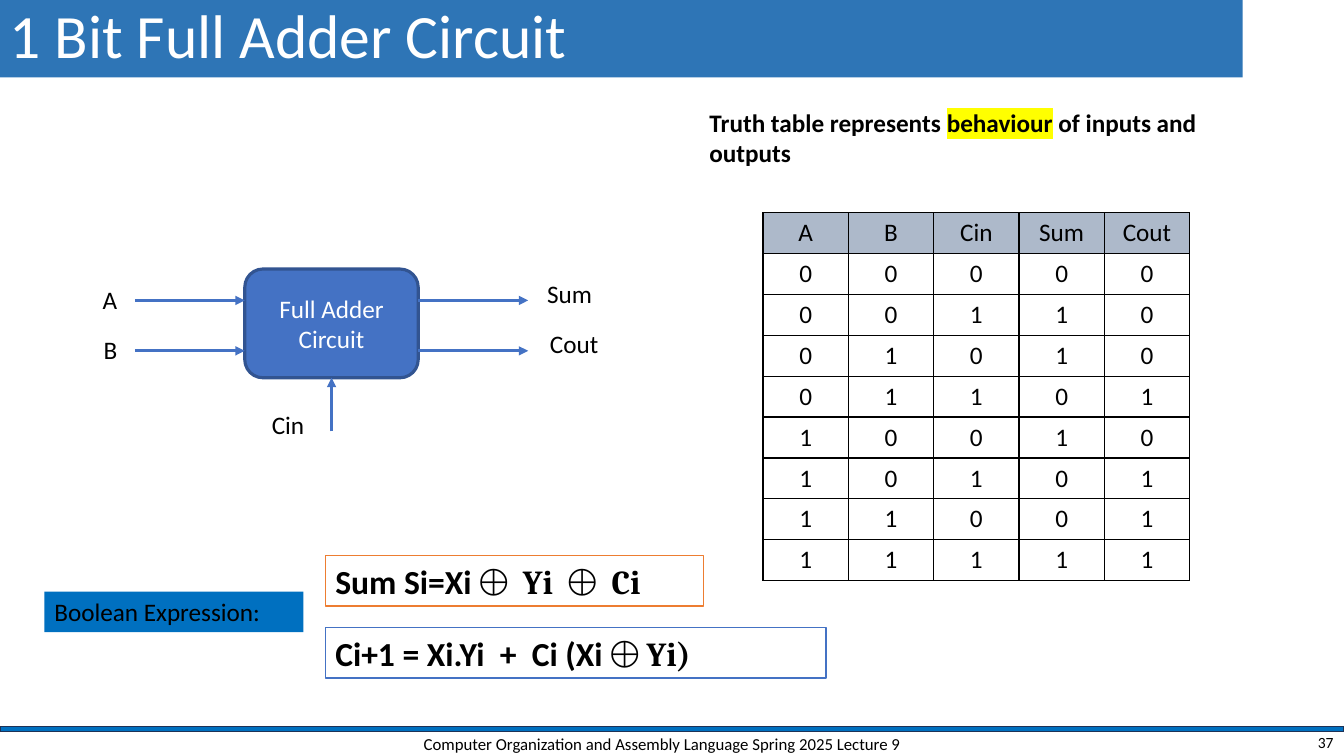
from dataclasses import dataclass
from itertools import product

from lxml import etree
from pptx import Presentation
from pptx.dml.color import RGBColor
from pptx.enum.shapes import MSO_CONNECTOR, MSO_SHAPE
from pptx.enum.text import MSO_ANCHOR, PP_ALIGN
from pptx.oxml.ns import qn
from pptx.util import Cm, Pt

RECTANGLE = MSO_SHAPE.RECTANGLE
ROUNDED = MSO_SHAPE.ROUNDED_RECTANGLE
STRAIGHT = MSO_CONNECTOR.STRAIGHT
LEFT, CENTER, RIGHT = PP_ALIGN.LEFT, PP_ALIGN.CENTER, PP_ALIGN.RIGHT
TOP, MIDDLE = MSO_ANCHOR.TOP, MSO_ANCHOR.MIDDLE
BOTTOM_SITE = 2

BLACK, WHITE, BLUE, DEEP_BLUE = "000000", "FFFFFF", "4472C4", "0070C0"
BOX_LEFT, BOX_TOP, BOX_WIDTH, BOX_HEIGHT = 6.17, 6.78, 4.37, 2.74
BOX_RIGHT = BOX_LEFT + BOX_WIDTH
WIRE_LENGTH = 2.77


@dataclass(frozen=True)
class Span:
    text: str
    font: str = "Calibri"
    highlight: str | None = None


@dataclass(frozen=True)
class Label:
    text: str
    left: float
    top: float
    width: float
    height: float = 1.02


@dataclass(frozen=True)
class Formula:
    spans: tuple[Span, ...]
    top: float
    width: float
    outline: str


LABELS = (
    Label("A", 2.34, 7.04, 0.89),
    Label("B", 2.36, 8.31, 0.89),
    Label("Cin", 6.6, 10.19, 1.35),
    Label("Cout", 13.61, 8.15, 1.75),
    Label("Sum", 13.54, 6.88, 1.65),
)
FORMULAS = (
    Formula((Span("Sum Si=Xi "), Span("⨁  Yi  ⨁  Ci", "Cambria")), 14, 9.53, "ED7D31"),
    Formula((Span("Ci+1 = Xi.Yi  +  Ci (Xi "), Span("⨁ Yi)", "Cambria")), 15.82, 12.62, BLUE),
)
TRUTH_HEADING = (
    Span("Truth table represents "),
    Span("behaviour", highlight="FFFF00"),
    Span(" of inputs and outputs"),
)


def rgb(value: str) -> RGBColor:
    return RGBColor.from_string(value)


def add_highlight(run, color: str) -> None:
    highlight = etree.Element(qn("a:highlight"))
    etree.SubElement(highlight, qn("a:srgbClr"), val=color)
    run.font._element.find(qn("a:solidFill")).addnext(highlight)


def write(frame, text: str | tuple[Span, ...], *, size: float = 18, color: str = BLACK,
          bold: bool = False, align=LEFT, anchor=TOP, wrap: bool = True,
          line_spacing: float = 1.0) -> None:
    frame.word_wrap = wrap
    frame.vertical_anchor = anchor
    lines = [(Span(line),) for line in text.split("\n")] if isinstance(text, str) else [text]
    for index, spans in enumerate(lines):
        paragraph = frame.add_paragraph() if index else frame.paragraphs[0]
        paragraph.alignment = align
        paragraph.line_spacing = line_spacing
        for span in spans:
            run = paragraph.add_run()
            run.text = span.text
            run.font.size = Pt(size)
            run.font.bold = bold
            run.font.color.rgb = rgb(color)
            run.font.name = span.font
            if span.highlight:
                add_highlight(run, span.highlight)


def add_text(slide, label: Label, **text_format) -> None:
    box = slide.shapes.add_textbox(Cm(label.left), Cm(label.top), Cm(label.width), Cm(label.height))
    write(box.text_frame, label.text, **text_format)


def add_box(slide, left: float, top: float, width: float, height: float, *, fill: str,
            kind=RECTANGLE, outline: str | None = None, weight: float = 1):
    shape = slide.shapes.add_shape(kind, Cm(left), Cm(top), Cm(width), Cm(height))
    shape.shadow.inherit = False
    shape.fill.solid()
    shape.fill.fore_color.rgb = rgb(fill)
    if outline:
        shape.line.color.rgb = rgb(outline)
        shape.line.width = Pt(weight)
    else:
        shape.line.fill.background()
    return shape


def add_arrow(slide, start: tuple[float, float], end: tuple[float, float]):
    arrow = slide.shapes.add_connector(STRAIGHT, *(Cm(value) for value in start + end))
    arrow.line.color.rgb = rgb(BLUE)
    arrow.line.width = Pt(2.25)
    etree.SubElement(arrow.line._get_or_add_ln(), qn("a:tailEnd"), type="triangle")
    etree.SubElement(arrow._element.spPr, qn("a:effectLst"))
    return arrow


def add_adder_diagram(slide) -> None:
    adder = add_box(slide, BOX_LEFT, BOX_TOP, BOX_WIDTH, BOX_HEIGHT, kind=ROUNDED,
                    fill=BLUE, outline="325491", weight=2.25)
    write(adder.text_frame, "Full Adder\nCircuit", color=WHITE, align=CENTER, anchor=MIDDLE)
    for end, height in product((BOX_LEFT, BOX_RIGHT + WIRE_LENGTH), (7.57, 8.84)):
        add_arrow(slide, (end - WIRE_LENGTH, height), (end, height))
    middle = BOX_LEFT + BOX_WIDTH / 2
    carry_in = add_arrow(slide, (middle, 10.87), (middle, BOX_TOP + BOX_HEIGHT))
    carry_in.end_connect(adder, BOTTOM_SITE)
    for label in LABELS:
        add_text(slide, label, wrap=False)


def format_cell(cell, text: str, fill: str) -> None:
    properties = cell._tc.get_or_add_tcPr()
    for side in ("lnL", "lnR", "lnT", "lnB"):
        border = etree.SubElement(properties, qn(f"a:{side}"), w=str(Pt(1)))
        solid = etree.SubElement(border, qn("a:solidFill"))
        etree.SubElement(solid, qn("a:srgbClr"), val=BLACK)
    cell.fill.solid()
    cell.fill.fore_color.rgb = rgb(fill)
    write(cell.text_frame, text, align=CENTER)


def add_truth_table(slide) -> None:
    rows = [("A", "B", "Cin", "Sum", "Cout")]
    for bits in product((0, 1), repeat=3):
        carry, total = divmod(sum(bits), 2)
        rows.append(tuple(str(bit) for bit in (*bits, total, carry)))
    frame = slide.shapes.add_table(len(rows), len(rows[0]), Cm(19.23), Cm(5.36), Cm(10.75), Cm(9.27))
    table = frame.table
    for row_index, row in enumerate(rows):
        for column_index, text in enumerate(row):
            fill = "FFFFFF" if row_index else "ADB9CA"
            format_cell(table.cell(row_index, column_index), text, fill)


def add_formulas(slide) -> None:
    for formula in FORMULAS:
        box = add_box(slide, 8.2, formula.top, formula.width, 1.27, fill=WHITE, outline=formula.outline)
        write(box.text_frame, formula.spans, size=24, bold=True)
    caption = add_box(slide, 1.12, 14.91, 6.53, 1.02, fill=DEEP_BLUE)
    write(caption.text_frame, "Boolean Expression:", wrap=False)


def main() -> None:
    presentation = Presentation()
    presentation.slide_width = Cm(33.87)
    presentation.slide_height = Cm(19.05)
    slide = presentation.slides.add_slide(presentation.slide_layouts[6])

    add_box(slide, 0, 18.31, 33.87, 0.13, fill=DEEP_BLUE, outline="1E3256")
    title = add_box(slide, 0, -0.03, 31.32, 1.98, fill="2E75B6")
    write(title.text_frame, "1 Bit Full Adder Circuit", size=44, color=WHITE,
          anchor=MIDDLE, line_spacing=0.9)
    add_text(slide, Label("37", 26.24, 18.39, 7.62, 0.64), size=11.1, align=RIGHT, anchor=MIDDLE)
    add_adder_diagram(slide)
    add_truth_table(slide)
    heading = slide.shapes.add_textbox(Cm(17.63), Cm(2.57), Cm(13.28), Cm(1.8))
    write(heading.text_frame, TRUTH_HEADING, bold=True)
    footer = Label("Computer Organization and Assembly Language Spring 2025 Lecture 9",
                   9.96, 18.39, 13.46, 0.71)
    add_text(slide, footer, size=12, align=CENTER, anchor=MIDDLE)
    add_formulas(slide)
    presentation.save("out.pptx")


if __name__ == "__main__":
    main()
